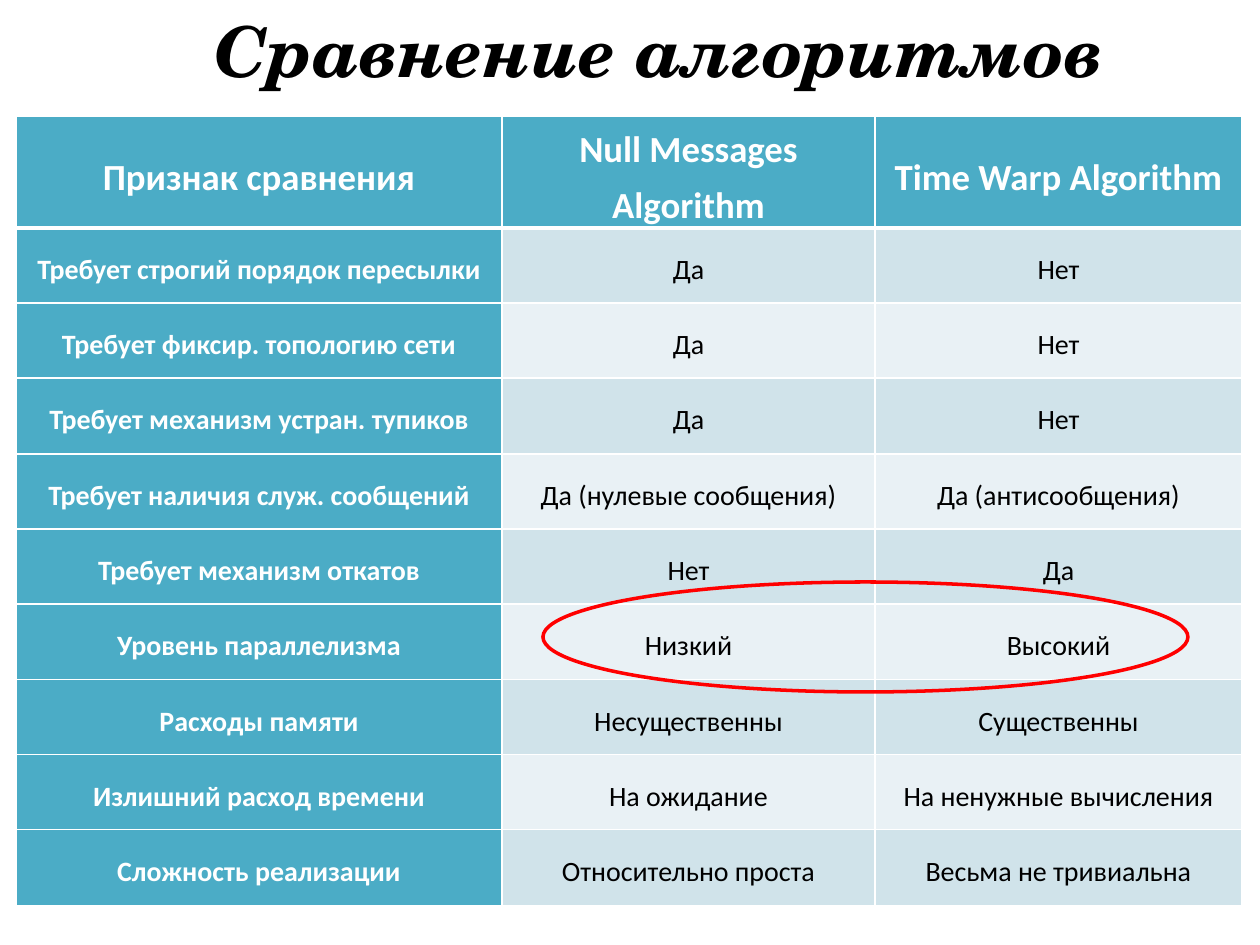
"""Build a slide comparing two distributed simulation algorithms."""
from dataclasses import dataclass

from lxml import etree
from pptx import Presentation
from pptx import util as u
from pptx.dml.color import RGBColor
from pptx.enum import shapes, text
from pptx.oxml.ns import qn

TITLE = "Сравнение алгоритмов"
HEADER = ("Признак сравнения", "Null Messages Algorithm", "Time Warp Algorithm")
CRITERIA = [
    ("Требует строгий порядок пересылки", "Да", "Нет"),
    ("Требует фиксир. топологию сети", "Да", "Нет"),
    ("Требует механизм устран. тупиков", "Да", "Нет"),
    ("Требует наличия служ. сообщений", "Да (нулевые сообщения)", "Да (антисообщения)"),
    ("Требует механизм откатов", "Нет", "Да"),
    ("Уровень параллелизма", "Низкий", "Высокий"),
    ("Расходы памяти", "Несущественны", "Существенны"),
    ("Излишний расход времени", "На ожидание", "На ненужные вычисления"),
    ("Сложность реализации", "Относительно проста", "Весьма не тривиальна"),
]

SLIDE = (1260, 945)
TITLE_BOX = (94, 0, 1130, 100)
TABLE_ORIGIN = (16, 116)
COLUMNS = (486, 373, 367)
HEADER_HEIGHT, BODY_HEIGHT = 112, 678
HIGHLIGHT = (543, 582, 645, 110)
CELL_INSET = 8


@dataclass(frozen=True)
class Theme:
    title_font: str = "TeX Gyre Schola"
    body_font: str = "Calibri"
    ink: str = "000000"
    white: str = "FFFFFF"
    accent: str = "4BACC6"
    bands: tuple = ("D0E3EA", "E9F1F5")
    highlight: str = "FF0000"
    title_size: int = 40
    header_size: int = 21
    body_size: int = 16
    rule: int = 1
    header_rule: int = 3
    highlight_line: int = 2


THEME = Theme()


def px(*lengths):
    return [u.Emu(round(length * 914400 / 126)) for length in lengths]


def style(paragraph, font_name, size, color, bold, italic=False):
    paragraph.alignment = text.PP_ALIGN.CENTER
    font = paragraph.font
    font.name, font.size = font_name, u.Pt(size)
    font.bold, font.italic = bold, italic
    font.color.rgb = RGBColor.from_string(color)


def add_borders(cell, top, bottom):
    properties = cell._tc.get_or_add_tcPr()
    for side, width in (("L", THEME.rule), ("R", THEME.rule), ("T", top), ("B", bottom)):
        border = etree.SubElement(properties, qn(f"a:ln{side}"), w=str(u.Pt(width)))
        fill = etree.SubElement(border, qn("a:solidFill"))
        etree.SubElement(fill, qn("a:srgbClr"), val=THEME.white)


def fill_cell(cell, wording, row, column):
    is_header = row == 0
    is_label = is_header or column == 0
    add_borders(
        cell,
        top=THEME.header_rule if row == 1 else THEME.rule,
        bottom=THEME.header_rule if is_header else THEME.rule,
    )
    cell.fill.solid()
    background = THEME.accent if is_label else THEME.bands[(row - 1) % 2]
    cell.fill.fore_color.rgb = RGBColor.from_string(background)
    cell.vertical_anchor = text.MSO_ANCHOR.MIDDLE
    cell.margin_left, cell.margin_right = px(CELL_INSET, CELL_INSET)
    cell.margin_top = cell.margin_bottom = 0
    cell.text = wording
    paragraph = cell.text_frame.paragraphs[0]
    paragraph.line_spacing, paragraph.space_after = 1.25, u.Pt(3)
    style(
        paragraph,
        THEME.body_font,
        THEME.header_size if is_header else THEME.body_size,
        THEME.white if is_label else THEME.ink,
        bold=is_label,
    )


def add_title(slide):
    frame = slide.shapes.add_textbox(*px(*TITLE_BOX)).text_frame
    frame.word_wrap = True
    frame.vertical_anchor = text.MSO_ANCHOR.MIDDLE
    frame.text = TITLE
    style(frame.paragraphs[0], THEME.title_font, THEME.title_size, THEME.ink, True, True)


def add_comparison(slide):
    rows = [HEADER, *CRITERIA]
    edges = [i * BODY_HEIGHT // len(CRITERIA) for i in range(len(rows))]
    heights = [HEADER_HEIGHT, *(end - start for start, end in zip(edges, edges[1:]))]
    size = (sum(COLUMNS), sum(heights))
    table = slide.shapes.add_table(
        len(rows), len(COLUMNS), *px(*TABLE_ORIGIN, *size)
    ).table
    for column, width in zip(table.columns, px(*COLUMNS)):
        column.width = width
    for row, height in zip(table.rows, px(*heights)):
        row.height = height
    for r, entries in enumerate(rows):
        for c, wording in enumerate(entries):
            fill_cell(table.cell(r, c), wording, r, c)


def add_highlight(slide):
    ellipse = slide.shapes.add_shape(shapes.MSO_SHAPE.OVAL, *px(*HIGHLIGHT))
    ellipse.shadow.inherit = False
    ellipse.fill.background()
    ellipse.line.color.rgb = RGBColor.from_string(THEME.highlight)
    ellipse.line.width = u.Pt(THEME.highlight_line)


def main():
    deck = Presentation()
    deck.slide_width, deck.slide_height = px(*SLIDE)
    slide = deck.slides.add_slide(deck.slide_layouts[6])
    add_title(slide)
    add_comparison(slide)
    add_highlight(slide)
    deck.save("out.pptx")


if __name__ == "__main__":
    main()
